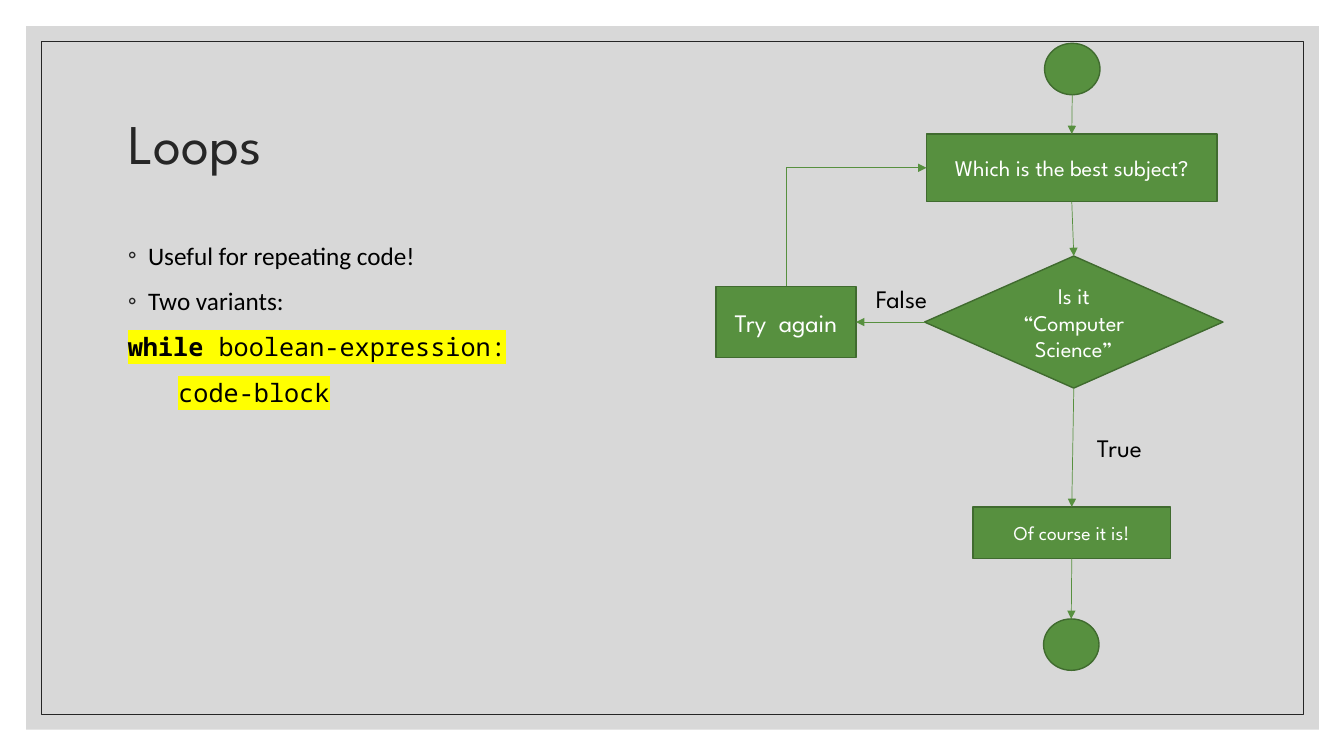
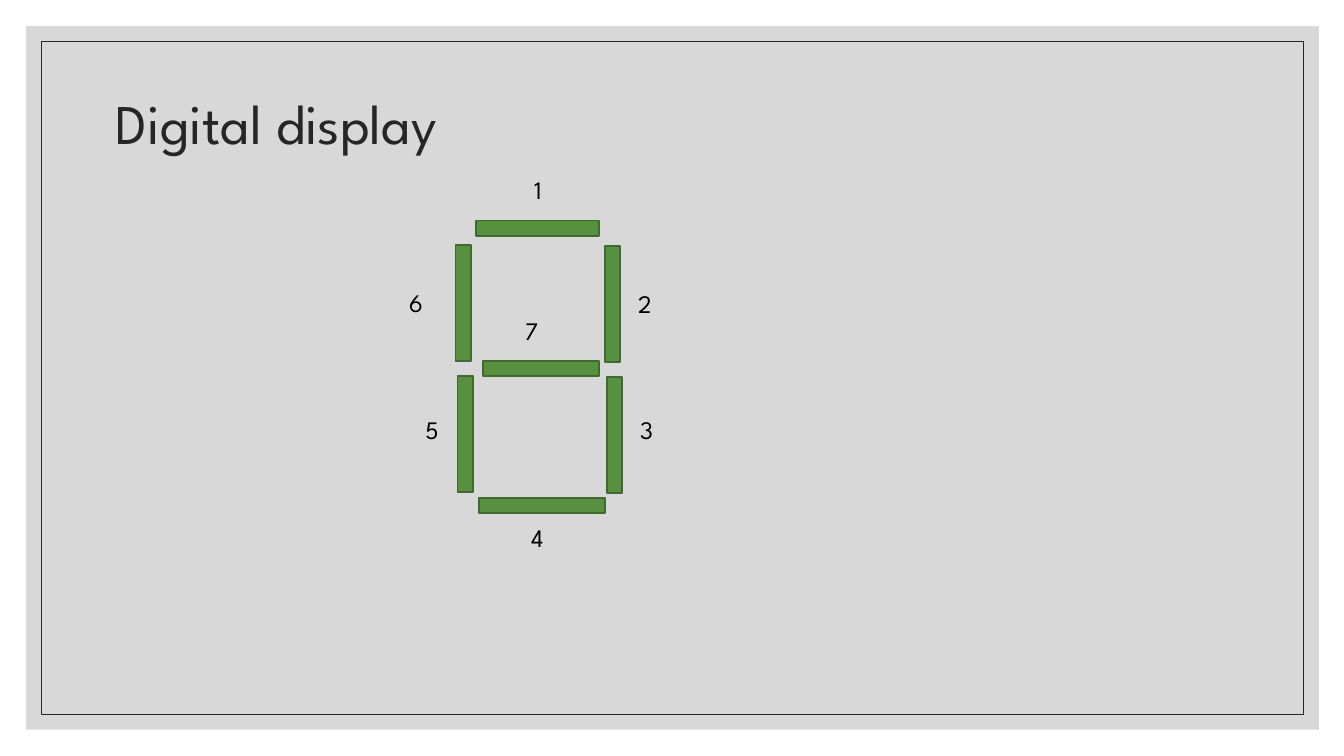
from lxml.etree import SubElement
from pptx import Presentation
from pptx.dml.color import RGBColor
from pptx.enum.shapes import MSO_CONNECTOR, MSO_SHAPE
from pptx.enum.text import MSO_ANCHOR, MSO_AUTO_SIZE, PP_ALIGN
from pptx.oxml.ns import qn
from pptx.util import Inches, Pt

# Shared look
GREEN = RGBColor(0x57, 0x90, 0x3F)
DARK_GREEN = RGBColor(0x40, 0x6B, 0x2F)
PANEL_GREY = RGBColor(0xBF, 0xBF, 0xBF)
CHARCOAL = RGBColor(0x26, 0x26, 0x26)
BLACK = RGBColor(0, 0, 0)
WHITE = RGBColor(0xFF, 0xFF, 0xFF)
YELLOW = RGBColor(0xFF, 0xFF, 0)
DISPLAY_FONT = "League Spartan"
BODY_FONT = "Calibri"
CODE_FONT = "Noto Sans Mono"

# Connection sites, as fractions of a shape's width and height
TOP, LEFT, BOTTOM, RIGHT = range(4)
SITES = {TOP: (0.5, 0), LEFT: (0, 0.5), BOTTOM: (0.5, 1), RIGHT: (1, 0.5)}


def add_run(paragraph, text, size, color, font=DISPLAY_FONT, bold=None, highlight=None):
    run = paragraph.add_run()
    run.text = text
    run.font.size = Pt(size)
    run.font.name = font
    run.font.bold = bold
    run.font.color.rgb = color
    if highlight is not None:
        latin = run.font._element.find(qn("a:latin"))
        mark = SubElement(run.font._element, qn("a:highlight"))
        SubElement(mark, qn("a:srgbClr"), val=str(highlight))
        latin.addprevious(mark)


def add_box(slide, preset, left, top, width, height, text="", size=16):
    box = slide.shapes.add_shape(
        preset, Inches(left), Inches(top), Inches(width), Inches(height))
    box.shadow.inherit = False
    box.fill.solid()
    box.fill.fore_color.rgb = GREEN
    box.line.color.rgb = DARK_GREEN
    box.line.width = Pt(1)
    if text:
        box.text_frame.vertical_anchor = MSO_ANCHOR.MIDDLE
        paragraph = box.text_frame.paragraphs[0]
        paragraph.alignment = PP_ALIGN.CENTER
        add_run(paragraph, text, size, WHITE)
    return box


def add_label(slide, text, left, top, width, height=0.4):
    label = slide.shapes.add_textbox(
        Inches(left), Inches(top), Inches(width), Inches(height))
    label.text_frame.word_wrap = True
    add_run(label.text_frame.paragraphs[0], text, 18, BLACK)


def site_point(shape, site):
    across, down = SITES[site]
    return (int(shape.left + across * shape.width),
            int(shape.top + down * shape.height))


def add_link(slide, begin, begin_site, end, end_site,
             kind=MSO_CONNECTOR.STRAIGHT, arrow="a:tailEnd"):
    link = slide.shapes.add_connector(
        kind, *site_point(begin, begin_site), *site_point(end, end_site))
    # An ellipse numbers its connection sites differently
    if begin.auto_shape_type != MSO_SHAPE.OVAL:
        link.begin_connect(begin, begin_site)
    link.end_connect(end, end_site)
    link.line.color.rgb = GREEN
    link.line.width = Pt(0.5)
    SubElement(link.line._get_or_add_ln(), qn(arrow), type="triangle")
    properties = link._element.spPr
    SubElement(properties, qn("a:effectLst"))
    if kind == MSO_CONNECTOR.ELBOW:
        # A single right-angle bend
        properties.find(qn("a:prstGeom")).set("prst", "bentConnector2")


def add_titled_slide(prs, text, left, top):
    slide = prs.slides.add_slide(prs.slide_layouts[5])
    title = slide.shapes.title
    title.left, title.top = Inches(left), Inches(top)
    title.width, title.height = Inches(11), Inches(1.5)
    title.text_frame.auto_size = MSO_AUTO_SIZE.NONE
    title.text_frame.vertical_anchor = MSO_ANCHOR.MIDDLE
    paragraph = title.text_frame.paragraphs[0]
    paragraph.alignment = PP_ALIGN.LEFT
    paragraph.line_spacing = 0.9
    add_run(paragraph, text, 40, CHARCOAL)
    return slide


def move_frame_to_master(prs, slide):
    """Draw the grey panel and its outline, and share them through the master."""
    panel = add_box(slide, MSO_SHAPE.RECTANGLE, 0.26, 0.26, 12.82, 6.98)
    panel.fill.fore_color.rgb = PANEL_GREY
    panel.line.fill.background()
    grey = panel._element.spPr.find(qn("a:solidFill"))[0]
    SubElement(grey, qn("a:alpha"), val="60000")

    outline = add_box(slide, MSO_SHAPE.RECTANGLE, 0.41, 0.41, 12.52, 6.68)
    outline.fill.background()
    outline.line.color.rgb = CHARCOAL
    outline.line.width = Pt(0.5)

    first_placeholder = prs.slide_master.placeholders[0].element
    for number, part in enumerate((panel, outline), start=101):
        part.element.nvSpPr.cNvPr.set("id", str(number))
        first_placeholder.addprevious(part.element)


def add_bullet(paragraph):
    properties = paragraph._p.get_or_add_pPr()
    indent = Inches(0.2)
    properties.set("marL", str(indent))
    properties.set("indent", str(-indent))
    color = SubElement(properties, qn("a:buClr"))
    SubElement(color, qn("a:srgbClr"), val=str(CHARCOAL))
    SubElement(properties, qn("a:buFont"), typeface=BODY_FONT)
    SubElement(properties, qn("a:buChar"), char="◦")


def add_loop_notes(slide):
    notes = slide.shapes.add_textbox(
        Inches(1.17), Inches(2.3), Inches(11), Inches(4.21)).text_frame
    notes.word_wrap = True
    bullets = ["Useful for repeating code!", "Two variants:"]
    code_lines = [[("while ", True), ("boolean-expression:", False)],
                  [("\tcode-block", False)]]
    for index, line in enumerate(bullets + code_lines):
        paragraph = notes.add_paragraph() if index else notes.paragraphs[0]
        paragraph.line_spacing = 1.1
        if index:
            paragraph.space_before = Pt(9)
        if line in bullets:
            add_bullet(paragraph)
            add_run(paragraph, line, 18, BLACK, BODY_FONT)
        else:
            for text, bold in line:
                add_run(paragraph, text, 18, BLACK, CODE_FONT, bold, YELLOW)


def add_flowchart(slide):
    # Steps
    start = add_box(slide, MSO_SHAPE.OVAL, 10.36, 0.43, 0.55, 0.51)
    question = add_box(slide, MSO_SHAPE.RECTANGLE, 9.19, 1.33, 2.88, 0.67,
                       "Which is the best subject?")
    retry = add_box(slide, MSO_SHAPE.RECTANGLE, 7.1, 2.84, 1.39, 0.71,
                    "Try  again", 18)
    check = add_box(slide, MSO_SHAPE.DIAMOND, 9.17, 2.54, 2.96, 1.31,
                    "Is it “Computer Science”")
    answer = add_box(slide, MSO_SHAPE.RECTANGLE, 9.65, 5.03, 1.96, 0.51,
                     "Of course it is!", 14)
    finish = add_box(slide, MSO_SHAPE.OVAL, 10.35, 6.14, 0.55, 0.51)

    # Downward path, then the loop back to the question
    path = [start, question, check, answer, finish]
    for upper, lower in zip(path, path[1:]):
        add_link(slide, upper, BOTTOM, lower, TOP)
    add_link(slide, check, LEFT, retry, RIGHT)
    add_link(slide, question, LEFT, retry, TOP, MSO_CONNECTOR.ELBOW, "a:headEnd")

    # Branch labels
    add_label(slide, "True", 10.78, 4.24, 0.97)
    add_label(slide, "False", 8.59, 2.76, 0.97)


def add_digit_display(slide):
    thickness, length = 0.15, 1.15
    # Number, bar left, top, width, height, label left, top
    segments = [
        ("1", 4.72, 2.19, 1.22, thickness, 5.2, 1.68),
        ("2", 6.0, 2.44, thickness, length, 6.23, 2.81),
        ("3", 6.02, 3.74, thickness, length, 6.25, 4.06),
        ("4", 4.75, 4.94, 1.25, thickness, 5.17, 5.13),
        ("5", 4.54, 3.73, thickness, length, 4.12, 4.06),
        ("6", 4.52, 2.43, thickness, length, 3.96, 2.8),
        ("7", 4.79, 3.58, length, thickness, 5.11, 3.08),
    ]
    for number, left, top, width, height, label_left, label_top in segments:
        add_box(slide, MSO_SHAPE.RECTANGLE, left, top, width, height)
        add_label(slide, number, label_left, label_top, 0.34, 0.42)


def main():
    prs = Presentation()
    prs.slide_width, prs.slide_height = Inches(13.33), Inches(7.5)

    # Slide 1: loops
    loops = add_titled_slide(prs, "Loops", 1.17, 0.7)
    move_frame_to_master(prs, loops)
    add_loop_notes(loops)
    add_flowchart(loops)

    # Slide 2: seven-segment digit
    display = add_titled_slide(prs, "Digital display", 1.05, 0.5)
    add_digit_display(display)

    prs.save("out.pptx")


if __name__ == "__main__":
    main()
